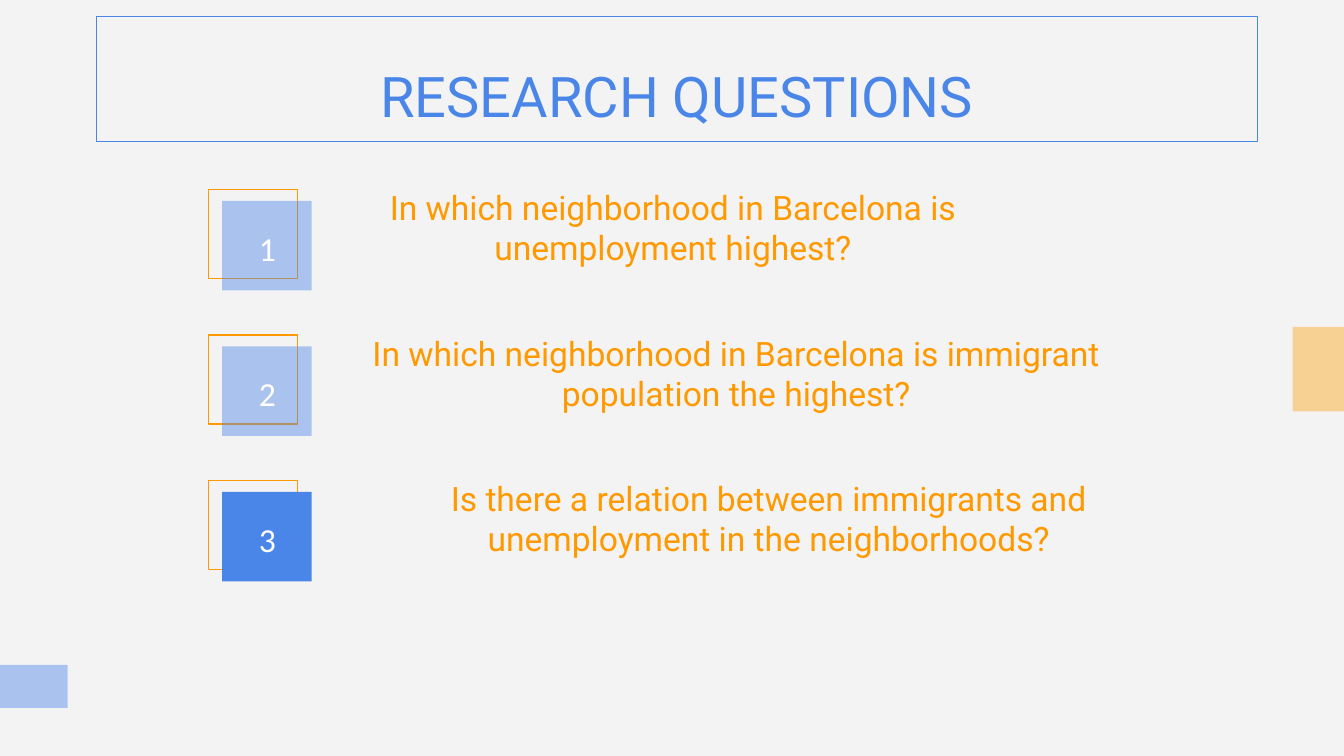
import dataclasses

import lxml.etree
import pptx
import pptx.dml.color
import pptx.enum.shapes
import pptx.enum.text
import pptx.oxml.ns
import pptx.util

Cm = pptx.util.Cm


@dataclasses.dataclass(frozen=True)
class Theme:
    """Colours, fonts and type sizes of the deck."""
    background: str = "F3F3F3"
    blue: str = "4A86E8"
    orange: str = "FF9900"
    white: str = "FFFFFF"
    text_font: str = "Roboto"
    number_font: str = "Calibri"
    title_size: float = 30
    body_size: float = 18
    line_width: float = 0.75
    blue_opacity: int = 43
    orange_opacity: int = 39


THEME = Theme()
QUESTIONS = [
    ("In which neighborhood in Barcelona is unemployment highest?", 1.67, 14.22, THEME.blue_opacity),
    ("In which neighborhood in Barcelona is immigrant population the highest?", 2.28, 15.39, THEME.blue_opacity),
    ("Is there a relation between immigrants and unemployment in the neighborhoods?", 2.31, 16.56, 100),
]


def rgb(colour):
    """Return the colour object for a hex string."""
    return pptx.dml.color.RGBColor.from_string(colour)


def write_text(shape, text, *, size, colour, font, anchor):
    """Fill a shape with one centred, formatted paragraph."""
    frame = shape.text_frame
    frame.word_wrap = True
    frame.auto_size = pptx.enum.text.MSO_AUTO_SIZE.NONE
    frame.vertical_anchor = anchor
    frame.margin_left = frame.margin_right = frame.margin_top = frame.margin_bottom = Cm(0.25)
    paragraph = frame.paragraphs[0]
    paragraph.alignment = pptx.enum.text.PP_ALIGN.CENTER
    run = paragraph.add_run()
    run.text = text
    run.font.size = pptx.util.Pt(size)
    run.font.name = font
    run.font.color.rgb = rgb(colour)


def set_outline(shape, colour):
    """Give a shape a thin outline and no fill."""
    shape.fill.background()
    shape.line.color.rgb = rgb(colour)
    shape.line.width = pptx.util.Pt(THEME.line_width)


def add_rectangle(slide, left, top, width, height):
    """Add a rectangle without a shadow, in centimetres."""
    shape = slide.shapes.add_shape(
        pptx.enum.shapes.MSO_SHAPE.RECTANGLE, Cm(left), Cm(top), Cm(width), Cm(height))
    shape.shadow.inherit = False
    return shape


def add_block(slide, left, top, width, height, *, colour, opacity):
    """Add a borderless block with a given opacity in percent."""
    block = add_rectangle(slide, left, top, width, height)
    block.fill.solid()
    block.fill.fore_color.rgb = rgb(colour)
    block.line.fill.background()
    if opacity < 100:
        tag = pptx.oxml.ns.qn("a:srgbClr")
        colour_element = next(block.fill._xPr.iter(tag))
        lxml.etree.SubElement(
            colour_element, pptx.oxml.ns.qn("a:alpha"), val=str(opacity * 1000))


def place_title(slide, left, top, width, height):
    """Move and format the title placeholder as an outlined banner."""
    title = slide.shapes.title
    title.left, title.top, title.width, title.height = Cm(left), Cm(top), Cm(width), Cm(height)
    set_outline(title, THEME.blue)
    write_text(title, "RESEARCH QUESTIONS", size=THEME.title_size, colour=THEME.blue,
               font=THEME.text_font, anchor=pptx.enum.text.MSO_ANCHOR.BOTTOM)


def add_badge(slide, left, top, size, *, number, opacity):
    """Add a numbered square over an offset outlined square."""
    set_outline(add_rectangle(slide, left, top, size, size), THEME.orange)
    add_block(slide, left + 0.26, top + 0.22, size, size, colour=THEME.blue, opacity=opacity)
    label = slide.shapes.add_textbox(Cm(left + 0.15), Cm(top + 0.47), Cm(1.93), Cm(2.36))
    write_text(label, str(number), size=THEME.body_size, colour=THEME.white,
               font=THEME.number_font, anchor=pptx.enum.text.MSO_ANCHOR.TOP)


def add_questions(slide, left, top, pitch, badge_size):
    """Add one row per question, a badge beside its text."""
    for index, (question, indent, width, opacity) in enumerate(QUESTIONS):
        row_top = top + index * pitch
        add_badge(slide, left, row_top, badge_size, number=index + 1, opacity=opacity)
        box = slide.shapes.add_textbox(
            Cm(left + indent), Cm(row_top + 0.84), Cm(width), Cm(0.89))
        write_text(box, question, size=THEME.body_size, colour=THEME.orange,
                   font=THEME.text_font, anchor=pptx.enum.text.MSO_ANCHOR.BOTTOM)


def main():
    """Build and save the research questions slide."""
    presentation = pptx.Presentation()
    presentation.slide_width = Cm(25.4)
    presentation.slide_height = Cm(14.29)
    slide = presentation.slides.add_slide(presentation.slide_layouts[5])
    slide.background.fill.solid()
    slide.background.fill.fore_color.rgb = rgb(THEME.background)
    place_title(slide, 1.82, 0.31, 21.95, 2.37)
    add_block(slide, 24.43, 6.18, 2.36, 1.6, colour=THEME.orange, opacity=THEME.orange_opacity)
    add_block(slide, -1.08, 12.57, 2.36, 0.81, colour=THEME.blue, opacity=THEME.blue_opacity)
    add_questions(slide, left=3.94, top=3.58, pitch=2.75, badge_size=1.69)
    presentation.save("out.pptx")


if __name__ == "__main__":
    main()
